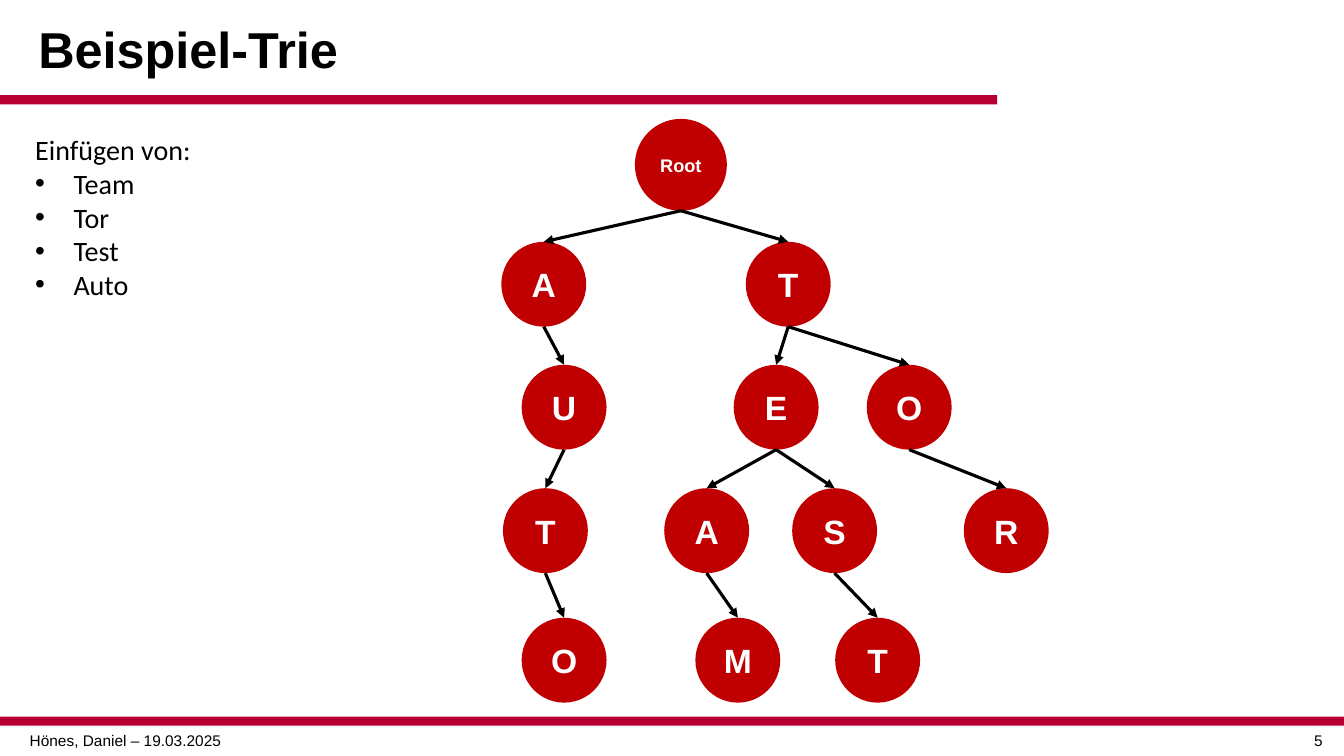
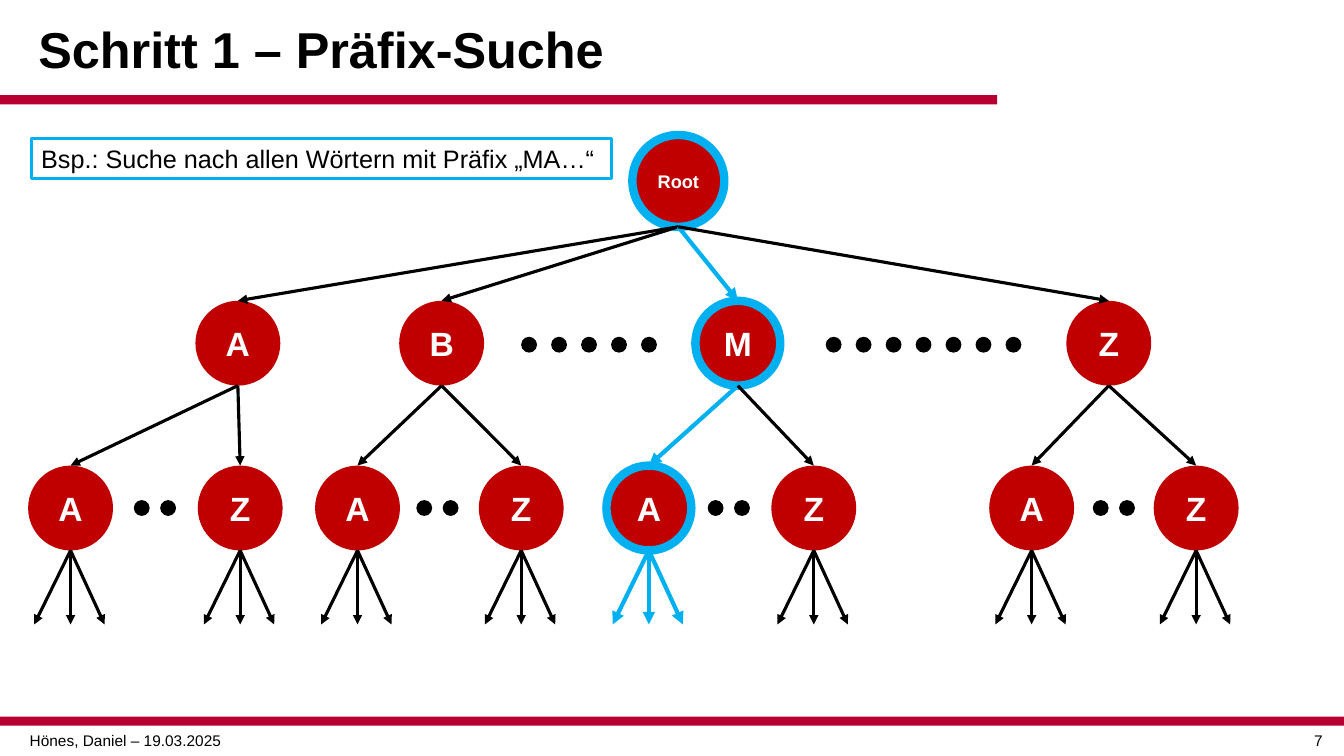
from dataclasses import dataclass
from typing import NamedTuple

from lxml import etree
from pptx import Presentation
from pptx.dml.color import RGBColor
from pptx.enum.shapes import MSO_CONNECTOR, MSO_SHAPE
from pptx.enum.text import MSO_ANCHOR, MSO_AUTO_SIZE, PP_ALIGN
from pptx.oxml.ns import qn
from pptx.util import Inches, Pt

ELLIPSE, RECTANGLE = MSO_SHAPE.OVAL, MSO_SHAPE.RECTANGLE
STRAIGHT = MSO_CONNECTOR.STRAIGHT
LEFT, CENTER = PP_ALIGN.LEFT, PP_ALIGN.CENTER
TOP, MIDDLE = MSO_ANCHOR.TOP, MSO_ANCHOR.MIDDLE
NO_AUTOFIT = MSO_AUTO_SIZE.NONE

COLORS = {
    "band": "B70031",
    "node": "C00000",
    "highlight": "00B0F0",
    "ink": "000000",
    "paper": "FFFFFF",
}
HEADING_FONT, LIST_FONT = "Arial", "Calibri"
SLIDE_WIDTH, SLIDE_HEIGHT = Inches(13.33), Inches(7.5)
TITLE_ONLY = 5
ELLIPSE_TOP, ELLIPSE_BOTTOM = 0, 4

# Diameters are percentages of the slide height.
ROOT_DIAMETER, NODE_DIAMETER, DOT_DIAMETER = 12.15, 11.23, 2.1
FAN_OFFSETS = (-2.7, 0, 2.53)
FAN_TIP = 82.6


class Box(NamedTuple):
    """Left and width in % of the slide width, top and height in % of its height."""
    left: float
    top: float
    width: float
    height: float


TITLE_BOX = Box(2.1, 1.2, 84.15, 11.33)
BANDS = (Box(0, 12.6, 74.2, 1.2), Box(0, 94.8, 100, 1.2))
AUTHOR_BOX = Box(0, 96, 18.68, 3.87)
PAGE_BOX = Box(96.2, 96, 3.8, 3.87)
WORDS_BOX = Box(1.88, 16.93, 43.2, 23.73)
EXAMPLE_BOX = Box(2.32, 18.27, 43.2, 5.4)


@dataclass(frozen=True)
class Node:
    label: str
    x: float
    children: tuple["Node", ...] = ()
    highlighted: bool = False
    fanned: bool = False


class DotRow(NamedTuple):
    first_x: float
    y: float
    count: int
    pitch: float


EXAMPLE_LEVELS = (21.8, 37.6, 53.87, 70.2, 87.33)
EXAMPLE_TRIE = Node("Root", 50.66, (
    Node("A", 40.46, (
        Node("U", 41.97, (Node("T", 40.58, (Node("O", 41.97),)),)),
    )),
    Node("T", 58.65, (
        Node("E", 57.75, (
            Node("A", 52.58, (Node("M", 54.9),)),
            Node("S", 62.1, (Node("T", 65.3),)),
        )),
        Node("O", 67.65, (Node("R", 74.87),)),
    )),
))

SEARCH_LEVELS = (23.93, 45.4, 67.2)


def letter_branch(label: str, x: float, first_x: float, last_x: float,
                  highlighted: bool = False) -> Node:
    """A first letter with its second letters A to Z."""
    return Node(label, x, (
        Node("A", first_x, highlighted=highlighted, fanned=True),
        Node("Z", last_x, fanned=True),
    ), highlighted)


SEARCH_TRIE = Node("Root", 50.47, (
    letter_branch("A", 17.7, 5.25, 17.87),
    letter_branch("B", 32.86, 26.6, 38.78),
    letter_branch("M", 54.9, 48.28, 60.55, highlighted=True),
    letter_branch("Z", 82.5, 76.76, 89),
), highlighted=True)
OMITTED_LETTERS = (
    DotRow(39.37, 45.6, 5, 2.23),
    DotRow(62.03, 45.6, 7, 2.23),
    *(DotRow(x, 67.2, 2, 1.96) for x in (10.55, 31.57, 53.25, 81.9)),
)


def across(percent: float) -> int:
    return round(SLIDE_WIDTH * percent / 100)


def down(percent: float) -> int:
    return round(SLIDE_HEIGHT * percent / 100)


def frame(box: Box) -> tuple[int, int, int, int]:
    return across(box.left), down(box.top), across(box.width), down(box.height)


def rgb(name: str) -> RGBColor:
    return RGBColor.from_string(COLORS[name])


def add_run(paragraph, text: str, size: float, color: str = "ink",
            bold: bool = False, font: str = HEADING_FONT) -> None:
    run = paragraph.add_run()
    run.text = text
    run.font.size = Pt(size)
    run.font.name = font
    run.font.bold = bold
    run.font.color.rgb = rgb(color)


def add_plain_shape(slide, kind, place: tuple[int, int, int, int],
                    fill: str | None, outline: str | None = None, width: float = 0):
    shape = slide.shapes.add_shape(kind, *place)
    shape.shadow.inherit = False
    if fill:
        shape.fill.solid()
        shape.fill.fore_color.rgb = rgb(fill)
    else:
        shape.fill.background()
    if outline:
        shape.line.color.rgb = rgb(outline)
        shape.line.width = Pt(width)
    else:
        shape.line.fill.background()
    return shape


def add_circle(slide, x: float, y: float, diameter: float, fill: str,
               outline: str | None = None):
    size = down(diameter)
    place = (across(x) - size // 2, down(y) - size // 2, size, size)
    return add_plain_shape(slide, ELLIPSE, place, fill, outline, 6)


def add_text_box(slide, box: Box):
    text = slide.shapes.add_textbox(*frame(box)).text_frame
    text.word_wrap = True
    return text


def add_arrow(slide, start, end_x: int, end_y: int, highlighted: bool, target=None) -> None:
    """Arrow from the bottom of one circle, joined to the top of the target if given."""
    arrow = slide.shapes.add_connector(
        STRAIGHT, start.left + start.width // 2, start.top + start.height, end_x, end_y)
    joints = arrow._element.find(".//" + qn("p:cNvCxnSpPr"))
    etree.SubElement(joints, qn("a:stCxn"), id=str(start.shape_id), idx=str(ELLIPSE_BOTTOM))
    if target is not None:
        arrow.end_connect(target, ELLIPSE_TOP)
    arrow.line.color.rgb = rgb("highlight" if highlighted else "ink")
    arrow.line.width = Pt(3 if highlighted else 2.25)
    properties = arrow._element.spPr
    etree.SubElement(properties.find(qn("a:ln")), qn("a:tailEnd"), type="triangle")
    etree.SubElement(properties, qn("a:effectLst"))


def draw_trie(slide, node: Node, levels: tuple[float, ...], depth: int = 0):
    """Draw a node with everything below it and return its circle."""
    is_root = depth == 0
    circle = add_circle(slide, node.x, levels[depth],
                        ROOT_DIAMETER if is_root else NODE_DIAMETER, "node",
                        "highlight" if node.highlighted else None)
    text = circle.text_frame
    text.word_wrap = False
    text.vertical_anchor = MIDDLE
    text.paragraphs[0].alignment = CENTER
    add_run(text.paragraphs[0], node.label, 13 if is_root else 24, "paper", bold=True)

    branches = [draw_trie(slide, child, levels, depth + 1) for child in node.children]
    for child, branch in zip(node.children, branches):
        add_arrow(slide, circle, branch.left + branch.width // 2, branch.top,
                  child.highlighted, branch)
    if node.fanned:
        for offset in FAN_OFFSETS:
            add_arrow(slide, circle, across(node.x + offset), down(FAN_TIP),
                      node.highlighted)
    return circle


def add_bullet(paragraph) -> None:
    indent = Inches(0.38)
    properties = paragraph._p.get_or_add_pPr()
    properties.set("marL", str(indent))
    properties.set("indent", str(-indent))
    etree.SubElement(properties, qn("a:buFont"), typeface=HEADING_FONT)
    etree.SubElement(properties, qn("a:buChar"), char="•")


def add_page(presentation, heading: str, number: int):
    """Slide with the shared title, bands and footer."""
    slide = presentation.slides.add_slide(presentation.slide_layouts[TITLE_ONLY])
    title = slide.shapes.title
    title.left, title.top, title.width, title.height = frame(TITLE_BOX)
    text = title.text_frame
    text.auto_size = NO_AUTOFIT
    text.word_wrap = True
    text.vertical_anchor = MIDDLE
    paragraph = text.paragraphs[0]
    paragraph.alignment = LEFT
    paragraph.line_spacing = 0.9
    add_run(paragraph, heading, 36, bold=True)

    for band in BANDS:
        add_plain_shape(slide, RECTANGLE, frame(band), "band")
    for box, footer in ((AUTHOR_BOX, "Hönes, Daniel – 19.03.2025"), (PAGE_BOX, str(number))):
        paragraph = add_text_box(slide, box).paragraphs[0]
        paragraph.alignment = CENTER
        add_run(paragraph, footer, 11)
    return slide


def build_example(presentation) -> None:
    slide = add_page(presentation, "Beispiel-Trie", 5)
    text = add_text_box(slide, WORDS_BOX)
    add_run(text.paragraphs[0], "Einfügen von:", 20, font=LIST_FONT)
    for word in ("Team", "Tor", "Test", "Auto"):
        paragraph = text.add_paragraph()
        add_bullet(paragraph)
        add_run(paragraph, word, 20, font=LIST_FONT)
    draw_trie(slide, EXAMPLE_TRIE, EXAMPLE_LEVELS)


def build_prefix_search(presentation) -> None:
    slide = add_page(presentation, "Schritt 1 – Präfix-Suche", 7)
    draw_trie(slide, SEARCH_TRIE, SEARCH_LEVELS)
    for row in OMITTED_LETTERS:
        for index in range(row.count):
            add_circle(slide, row.first_x + index * row.pitch, row.y, DOT_DIAMETER, "ink")
    example = add_plain_shape(slide, RECTANGLE, frame(EXAMPLE_BOX), None, "highlight", 2.25)
    text = example.text_frame
    text.word_wrap = True
    text.vertical_anchor = TOP
    text.paragraphs[0].alignment = LEFT
    add_run(text.paragraphs[0], "Bsp.: Suche nach allen Wörtern mit Präfix „MA…“", 18)


def main() -> None:
    presentation = Presentation()
    presentation.slide_width = SLIDE_WIDTH
    presentation.slide_height = SLIDE_HEIGHT
    build_example(presentation)
    build_prefix_search(presentation)
    presentation.save("out.pptx")


if __name__ == "__main__":
    main()
